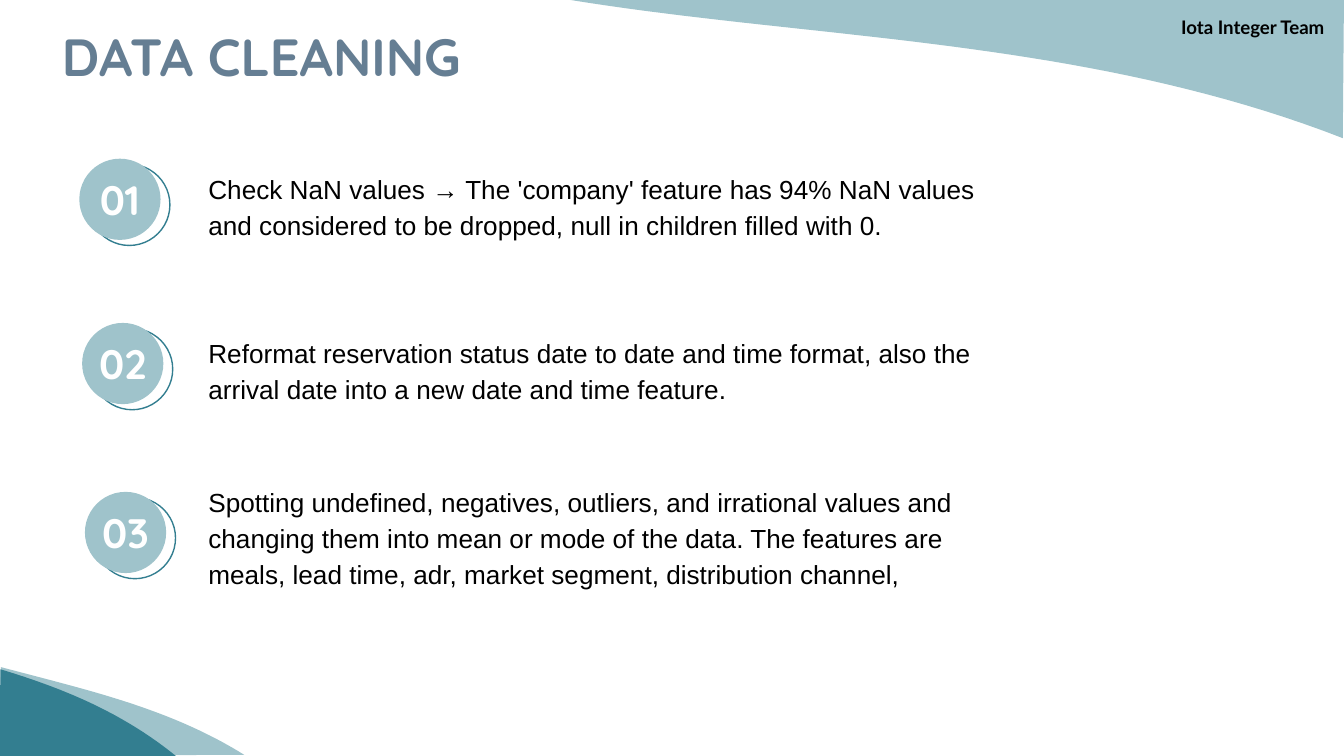
from pptx import Presentation
from pptx.dml.color import RGBColor
from pptx.enum.shapes import MSO_SHAPE as Preset
from pptx.enum.text import MSO_ANCHOR as Anchor, MSO_AUTO_SIZE as AutoSize, PP_ALIGN as Align
from pptx.util import Pt

WIDTH, HEIGHT = 720, 405
TEAL, PALE, SLATE = "337E90", "9FC3CB", "657E93"
WHITE, BLACK = "FFFFFF", "000000"

# Number disc left and top, text top and height, wording
STEPS = [
    (42.5, 85, 83, 70, "Check NaN values → The 'company' feature has 94% NaN values "
     "and considered to be dropped, null in children filled with 0."),
    (44, 173, 171, 51, "Reformat reservation status date to date and time format, "
     "also the arrival date into a new date and time feature."),
    (45.5, 263.5, 251, 70, "Spotting undefined, negatives, outliers, and irrational values "
     "and changing them into mean or mode of the data. The features are meals, "
     "lead time, adr, market segment, distribution channel,"),
]


def color(value):
    return RGBColor.from_string(value)


def place(shape, left, top, width, height):
    shape.left, shape.top = Pt(left), Pt(top)
    shape.width, shape.height = Pt(width), Pt(height)


def write(shape, text, font, size, ink, bold=False, align=Align.LEFT,
          anchor=Anchor.TOP, spacing=1.0, inset=7.2):
    frame = shape.text_frame
    frame.word_wrap = True
    frame.auto_size = AutoSize.NONE
    frame.vertical_anchor = anchor
    frame.margin_left = frame.margin_right = Pt(inset)
    frame.margin_top = frame.margin_bottom = Pt(inset)
    para = frame.paragraphs[0]
    para.text = text
    para.alignment, para.line_spacing = align, spacing
    para.font.name, para.font.size, para.font.bold = font, Pt(size), bold
    para.font.color.rgb = color(ink)


def add_text(page, box, text, *style, **options):
    shape = page.shapes.add_textbox(*map(Pt, box))
    write(shape, text, *style, **options)


def bezier(points, t):
    """Point at t on the cubic curve with four control points."""
    weights = ((1 - t) ** 3, 3 * t * (1 - t) ** 2, 3 * t * t * (1 - t), t ** 3)
    return tuple(Pt(sum(w * p[axis] for w, p in zip(weights, points))) for axis in (0, 1))


def add_wave(page, corner, curve, start, end, fill, steps=40):
    """Fill the area between a slide corner and the visible part of a curve."""
    edge = [bezier(curve, start + (end - start) * i / steps) for i in range(steps + 1)]
    builder = page.shapes.build_freeform(*map(Pt, corner), scale=1.0)
    builder.add_line_segments(edge, close=True)
    shape = builder.convert_to_shape()
    shape.shadow.inherit = False
    shape.fill.solid()
    shape.fill.fore_color.rgb = color(fill)
    shape.line.fill.background()


def add_waves(page):
    front = [(-276.5, 187.2), (-153.4, 390.2), (9.4, 307.4), (118.1, 427.7)]
    back = [(x + 57.6, y + 14.4) for x, y in front]
    top = [(892.1, 180), (641.5, -45.4), (329, 66.2), (111.6, -64.1)]
    add_wave(page, (0, HEIGHT), back, 0.54, 0.87, PALE)
    add_wave(page, (0, HEIGHT), front, 0.68, 0.93, TEAL)
    add_wave(page, (WIDTH, 0), top, 0.22, 0.73, PALE)


def add_circle(page, left, top, fill):
    circle = page.shapes.add_shape(Preset.OVAL, Pt(left), Pt(top), Pt(43.5), Pt(43.5))
    circle.shadow.inherit = False
    circle.fill.solid()
    circle.fill.fore_color.rgb = color(fill)
    return circle


def add_badge(page, left, top, label):
    ring = add_circle(page, left + 5, top + 3, WHITE)
    ring.line.color.rgb = color(TEAL)
    ring.line.width = Pt(0.75)
    disc = add_circle(page, left, top, PALE)
    disc.line.fill.background()
    write(disc, label, "Quicksand", 22, WHITE, bold=True,
          align=Align.CENTER, anchor=Anchor.MIDDLE, inset=0)


def add_header(page):
    title = page.shapes.title
    place(title, 26, 6, 607, 47)
    write(title, "DATA CLEANING", "Quicksand", 28, SLATE, bold=True)
    add_text(page, (607.5, 1.5, 109, 27), "Iota Integer Team", "Lato", 10, BLACK,
             bold=True, align=Align.RIGHT)


def main():
    deck = Presentation()
    deck.slide_width, deck.slide_height = Pt(WIDTH), Pt(HEIGHT)
    page = deck.slides.add_slide(deck.slide_layouts[5])
    add_waves(page)
    add_header(page)
    # Numbered steps
    for number, (left, top, text_top, height, text) in enumerate(STEPS, 1):
        add_badge(page, left, top, f"{number:02}")
        add_text(page, (104.5, text_top, 444, height), text, "Arial", 14, BLACK, spacing=1.15)
    deck.save("out.pptx")


if __name__ == "__main__":
    main()
